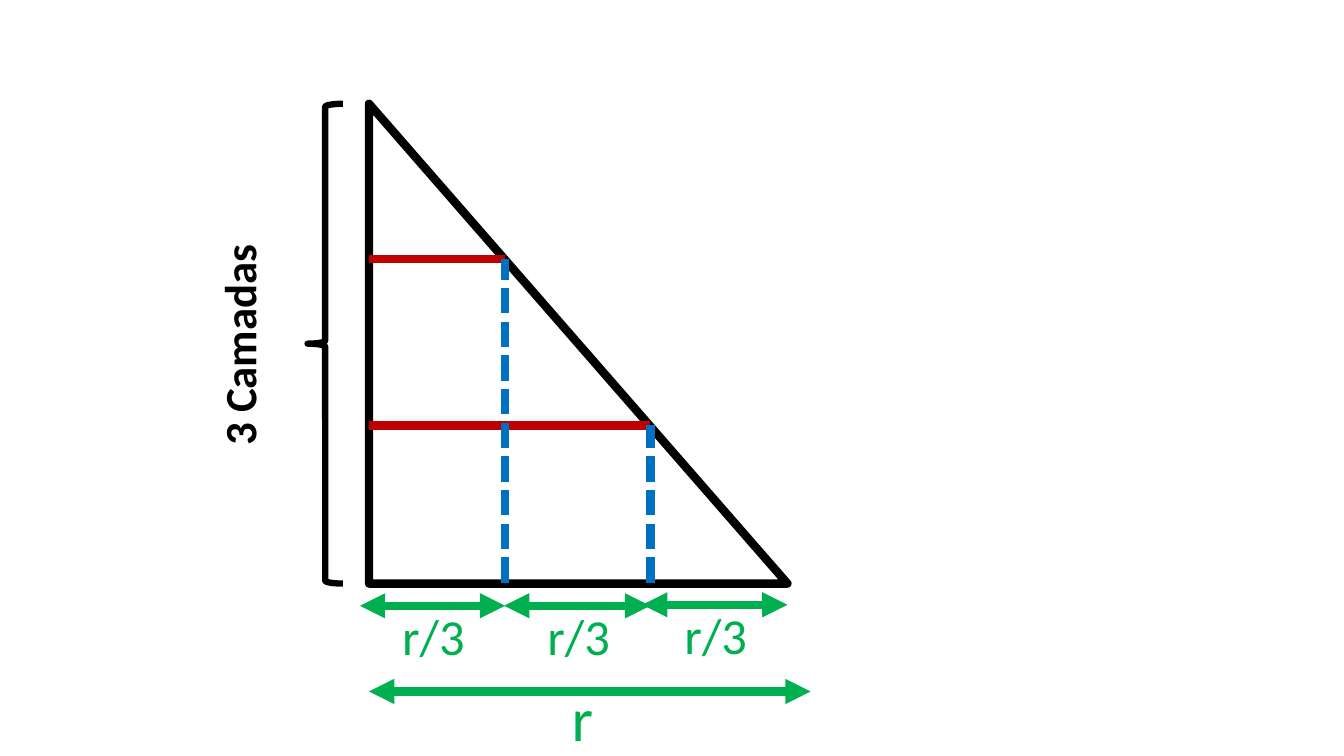
from pptx import Presentation
from pptx.dml.color import RGBColor
from pptx.enum.dml import MSO_LINE as Dash
from pptx.enum.shapes import MSO_CONNECTOR as Conn, MSO_SHAPE as Shape
from pptx.enum.text import MSO_AUTO_SIZE as Fit
from pptx.oxml.ns import qn
from pptx.util import Inches, Pt
from lxml.etree import SubElement

BLACK, WHITE, RED, BLUE, GREEN = "000000", "FFFFFF", "C00000", "0070C0", "00B050"
LEFT, TOP, WIDTH, HEIGHT = 3.66, 1.03, 4.15, 4.76
BASE = 5.78

# Each layer: right end and height of its edge
LAYERS = [(5.01, 2.57), (6.45, 4.22)]
# Each third of the radius: start, end and height of its arrow
THIRDS = [(3.57, 5.01, 6.01), (5, 6.45, 6.01), (6.37, 7.81, 6)]
RADIUS = (LEFT, 8.04, 6.86)
# Text, box, size, colour, bold, turn, wrap
LABELS = [
    ("r", (5.57, 6.7, 0.42, 0.84), 44, GREEN, False, 0, False),
    ("3 Camadas", (1.26, 3.09, 2.22, 0.64), 32, BLACK, True, 270, False),
] + [("r/3", (end - 1.12, y - 0.06, 1.12, 0.71), 36, GREEN, False, 0, True)
     for start, end, y in THIRDS]


def color(code):
    """Turn a hex string into a colour."""
    return RGBColor.from_string(code)


def stroke(item, code, width):
    """Set the line colour and width of an item."""
    item.line.color.rgb = color(code)
    item.line.width = Pt(width)


def outline(kind, box, width, fill=None):
    """Add a black-lined preset shape."""
    shape = slide.shapes.add_shape(kind, *map(Inches, box))
    shape.shadow.inherit = False
    if fill:
        shape.fill.solid()
        shape.fill.fore_color.rgb = color(fill)
    else:
        shape.fill.background()
    stroke(shape, BLACK, width)


def rule(start, end, code, dash=None, arrows=False):
    """Add a thick straight line, dashed or with two arrowheads if asked."""
    line = slide.shapes.add_connector(Conn.STRAIGHT, *map(Inches, start + end))
    stroke(line, code, 6)
    if dash:
        line.line.dash_style = dash
    if arrows:
        for tag in ("a:headEnd", "a:tailEnd"):
            SubElement(line.line._get_or_add_ln(), qn(tag), type="triangle")
    SubElement(line._element.spPr, qn("a:effectLst"))


def label(text, box, size, code, bold, turn, wrap):
    """Add a one-line text box."""
    shape = slide.shapes.add_textbox(*map(Inches, box))
    shape.rotation = turn
    frame = shape.text_frame
    frame.word_wrap = wrap
    frame.auto_size = Fit.SHAPE_TO_FIT_TEXT
    run = frame.paragraphs[0].add_run()
    run.text = text
    font = run.font
    font.name, font.size, font.bold = "Calibri", Pt(size), bold
    font.color.rgb = color(code)


deck = Presentation()
deck.slide_width, deck.slide_height = Inches(13.33), Inches(7.5)
slide = deck.slides.add_slide(deck.slide_layouts[6])

outline(Shape.RIGHT_TRIANGLE, (LEFT, TOP, WIDTH, HEIGHT), 6, WHITE)
outline(Shape.LEFT_BRACE, (3.05, TOP, 0.35, HEIGHT), 4.5)
for x, y in LAYERS:
    rule((LEFT, y), (x, y), RED)
for x, y in LAYERS:
    rule((x, BASE), (x, y), BLUE, dash=Dash.SQUARE_DOT)
for start, end, y in THIRDS + [RADIUS]:
    rule((start, y), (end, y), GREEN, arrows=True)
for item in LABELS:
    label(*item)

deck.save("out.pptx")
